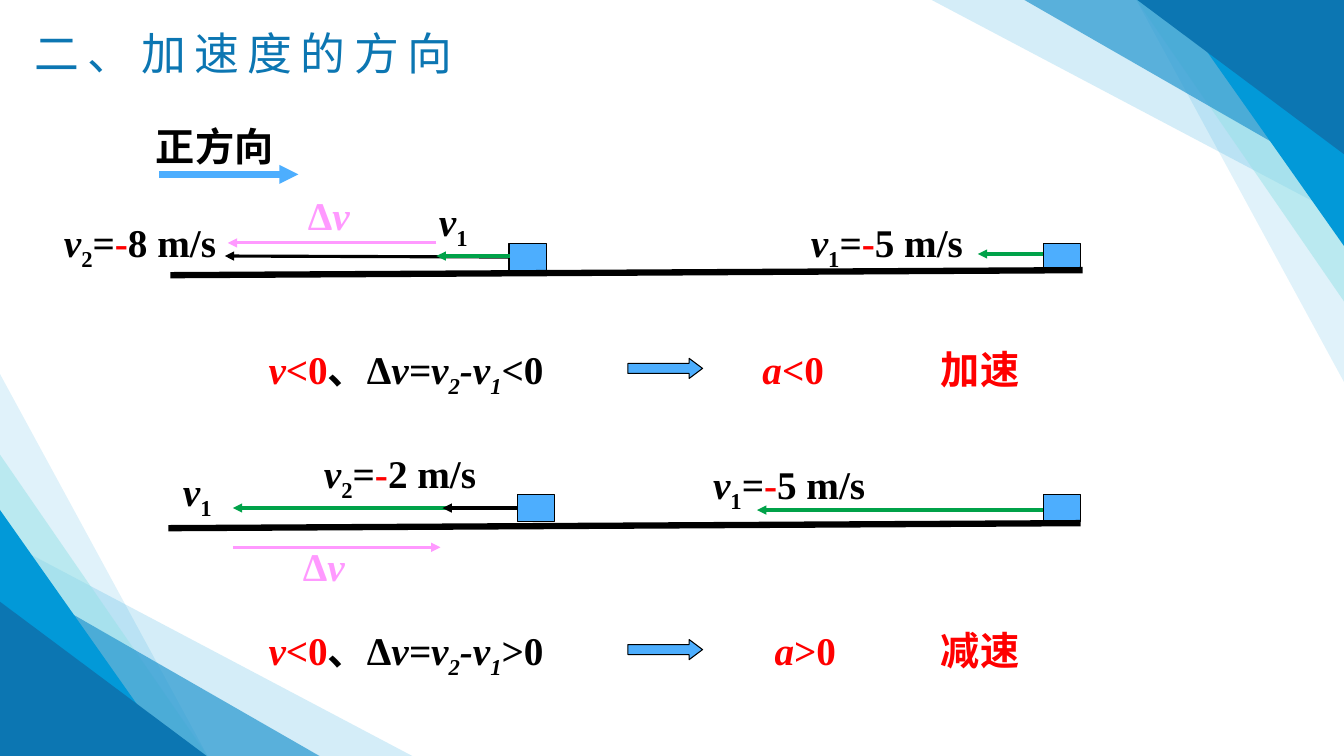
from dataclasses import dataclass

from lxml.etree import SubElement
from pptx import Presentation
from pptx.dml.color import RGBColor
from pptx.enum.shapes import MSO_CONNECTOR as Link, MSO_SHAPE as Form
from pptx.enum.text import MSO_ANCHOR as Anchor, PP_ALIGN as Align
from pptx.oxml.ns import qn
from pptx.util import Inches, Pt

# Grid: ten columns and ten rows to the inch
COLS, ROWS = 133.33, 75
INK = {
    "black": "000000", "red": "FF0000", "green": "00A249", "pink": "FF99FF",
    "sky": "4DAEFE", "deep": "0C76B2", "blue": "0299D8", "mid": "2094CE",
    "mint": "95E1E7", "white": "FFFFFF",
}
LATIN, HAN = "Times New Roman", "Noto Sans CJK SC"


@dataclass
class Wedge:
    wide: float
    high: float
    ink: str
    alpha: int = 100


@dataclass
class Run:
    text: str
    slant: bool = False
    sub: bool = False
    ink: str = ""


@dataclass
class Label:
    col: float
    row: float
    wide: float
    high: float
    runs: list[Run]
    ink: str = "black"
    align: Align = Align.LEFT


@dataclass
class Line:
    start: tuple[float, float]
    end: tuple[float, float]
    ink: str
    width: float = 2.25
    head: bool = True


@dataclass
class Block:
    col: float
    row: float


@dataclass
class Result:
    row: float
    sign: str
    col: float
    word: str


def grid(*cells: float) -> list[int]:
    return [Inches(cell / 10) for cell in cells]


def rgb(ink: str) -> RGBColor:
    return RGBColor.from_string(INK[ink])


def speed(index: str, value: str = "") -> list[Run]:
    """Runs for a velocity symbol, with its negative value if one is given."""
    runs = [Run("v", slant=True), Run(index, sub=True)]
    if value:
        runs += [Run("="), Run("-", ink="red"), Run(f"{value} m/s")]
    return runs


def change() -> list[Run]:
    return [Run("Δ"), Run("v", slant=True)]


def draw_form(shapes, form: Form, box: tuple, ink: str, edge: float = 0):
    shape = shapes.add_shape(form, *grid(*box))
    shape.shadow.inherit = False
    shape.fill.solid()
    shape.fill.fore_color.rgb = rgb(ink)
    if edge:
        shape.line.color.rgb = rgb("black")
        shape.line.width = Pt(edge)
    else:
        shape.line.fill.background()
    return shape


def draw_wedge(shapes, wedge: Wedge, top: bool) -> None:
    """Put a wedge in the lower left corner, or turned in the upper right."""
    col, row = (COLS - wedge.wide, 0) if top else (0, ROWS - wedge.high)
    box = (col, row, wedge.wide, wedge.high)
    shape = draw_form(shapes, Form.RIGHT_TRIANGLE, box, wedge.ink)
    shape.rotation = 180 if top else 0
    if wedge.alpha < 100:
        tint = shape.fill._xPr.find(".//" + qn("a:srgbClr"))
        SubElement(tint, qn("a:alpha"), val=str(wedge.alpha * 1000))


def draw_line(shapes, line: Line) -> None:
    link = shapes.add_connector(
        Link.STRAIGHT, *grid(*line.start), *grid(*line.end))
    link.line.color.rgb = rgb(line.ink)
    link.line.width = Pt(line.width)
    if line.head:
        SubElement(link.line._get_or_add_ln(), qn("a:tailEnd"), type="triangle")
    SubElement(link._element.spPr, qn("a:effectLst"))


def add_text(shapes, box: tuple, face: str, size: int, ink: str):
    """Add a text box and return its frame with the paragraph font set."""
    frame = shapes.add_textbox(*grid(*box)).text_frame
    frame.word_wrap = True
    frame.margin_left, frame.margin_top = grid(0.94, 0.47)
    frame.margin_right, frame.margin_bottom = grid(0.94, 0.47)
    font = frame.paragraphs[0].font
    font.name, font.size = face, Pt(size)
    font.color.rgb = rgb(ink)
    SubElement(font._element, qn("a:ea"), typeface=HAN)
    return frame


def draw_label(shapes, label: Label) -> None:
    box = (label.col, label.row, label.wide, label.high)
    para = add_text(shapes, box, LATIN, 28, label.ink).paragraphs[0]
    para.alignment = label.align
    para.font.bold = True
    for part in label.runs:
        run = para.add_run()
        run.text = part.text
        if part.slant:
            run.font.italic = True
        if part.ink:
            run.font.color.rgb = rgb(part.ink)
        if part.sub:
            run._r.get_or_add_rPr().set("baseline", "-25000")


def draw_title(shapes) -> None:
    frame = add_text(shapes, (2.5, 2.2, 50.6, 6.8), HAN, 32, "deep")
    frame.vertical_anchor = Anchor.MIDDLE
    para = frame.paragraphs[0]
    para.line_spacing = 0.9
    run = para.add_run()
    run.text = "二、加速度的方向"
    run._r.get_or_add_rPr().set("spc", "600")


def draw_result(shapes, res: Result) -> None:
    cause = [
        Run("v", slant=True, ink="red"), Run("<0", ink="red"), Run("、Δ"),
        Run("v=v", slant=True), Run("2", slant=True, sub=True),
        Run("-v", slant=True), Run("1", slant=True, sub=True),
        Run(f"{res.sign}0"),
    ]
    effect = [Run("a", slant=True), Run(f"{res.sign}0")]
    draw_label(shapes, Label(25.7, res.row, 34.8, 6.3, cause))
    arrow = draw_form(shapes, Form.RIGHT_ARROW,
                      (62.3, res.row + 1.75, 7.4, 2), "sky", 0.75)
    arrow.adjustments[1] = 0.667
    draw_label(shapes, Label(res.col, res.row, 12.2, 5.6, effect, "red"))
    draw_label(shapes, Label(92.4, res.row, 10.2, 5.6, [Run(res.word)], "red"))


WEDGES = [
    Wedge(20.6, 37.9, "blue", 12), Wedge(40.9, 21.6, "blue", 17),
    Wedge(20.6, 29.9, "mint", 50), Wedge(31.7, 18.2, "mid", 68),
    Wedge(17.2, 24.4, "blue"), Wedge(20.5, 15.3, "deep"),
]
BLOCKS = [Block(50.5, 24.2), Block(103.5, 24.2),
          Block(51.3, 49.1), Block(103.5, 49.1)]
LINES = [
    Line((15.8, 17.3), (29.6, 17.3), "sky", 4.5),
    Line((50.5, 25.5), (22.3, 25.4), "black"),
    Line((103.5, 25.2), (97, 25.2), "green"),
    Line((16.9, 27.3), (107.4, 26.8), "black", 4.5, False),
    Line((50.6, 25.4), (43.3, 25.4), "green"),
    Line((43.3, 24.1), (22.6, 24.1), "pink"),
    Line((103.5, 50.6), (75.1, 50.6), "green"),
    Line((16.7, 52.4), (107.2, 51.9), "black", 4.5, False),
    Line((51.3, 50.4), (23.1, 50.4), "green"),
    Line((51.3, 50.4), (43.9, 50.4), "black"),
    Line((23.1, 54.3), (43.7, 54.3), "pink"),
]
LABELS = [
    Label(13, 11.7, 16.6, 5.6, [Run("正方向")], align=Align.CENTER),
    Label(5.4, 21.2, 18, 10.2, speed("2", "8")),
    Label(79.5, 21.2, 17.5, 4.8, speed("1", "5")),
    Label(42.6, 19.1, 5.9, 5.8, speed("1")),
    Label(29.6, 18.5, 6.7, 5.6, change(), "pink"),
    Label(69.8, 45.2, 17.5, 4.8, speed("1", "5")),
    Label(17.2, 45.9, 6.2, 6.3, speed("1")),
    Label(31.2, 44.1, 18, 4.5, speed("2", "2")),
    Label(29.1, 53.3, 6.7, 5.6, change(), "pink"),
]
RESULTS = [Result(33.8, "<", 74.7, "加速"), Result(61.7, ">", 75.9, "减速")]


def main() -> None:
    deck = Presentation()
    deck.slide_width, deck.slide_height = grid(COLS, ROWS)
    shapes = deck.slides.add_slide(deck.slide_layouts[6]).shapes
    for top in (False, True):
        for wedge in WEDGES:
            draw_wedge(shapes, wedge, top)
    draw_title(shapes)
    for block in BLOCKS:
        draw_form(shapes, Form.RECTANGLE,
                  (block.col, block.row, 3.7, 2.6), "sky", 0.75)
    for line in LINES:
        draw_line(shapes, line)
    for label in LABELS:
        draw_label(shapes, label)
    for res in RESULTS:
        draw_result(shapes, res)
    deck.save("out.pptx")


if __name__ == "__main__":
    main()
